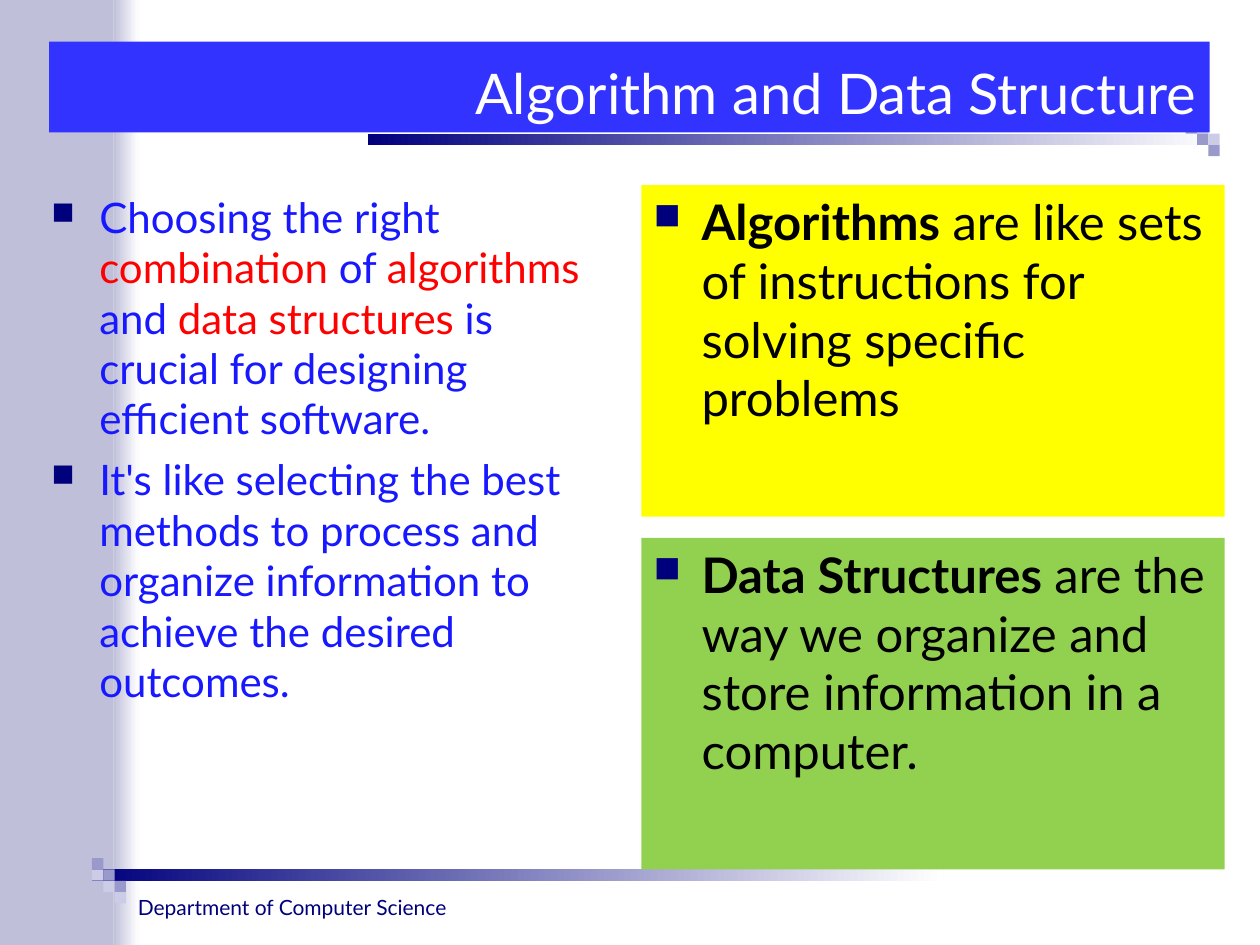
from typing import NamedTuple

from lxml.etree import SubElement
from pptx import Presentation
from pptx.dml.color import RGBColor
from pptx.enum.shapes import MSO_SHAPE
from pptx.enum.text import MSO_ANCHOR, MSO_AUTO_SIZE, PP_ALIGN
from pptx.oxml.ns import qn
from pptx.util import Inches, Pt

COLORS = {
    "navy": "00007D", "white": "FFFFFF", "side": "BFBFDA", "medium": "9999CC",
    "light": "CCCCE6", "banner": "3333FF", "blue": "1818FF", "red": "FF0000",
    "black": "000000", "yellow": "FFFF00", "green": "92D050",
}
FONT = "Lato"
TILE = 0.09
INDENT = 0.38
PANEL_TOP, PANEL_HEIGHT, PANEL_PITCH = 1.47, 2.63, 2.8


class Box(NamedTuple):
    left: float
    top: float
    width: float
    height: float

    def emu(self) -> list:
        return [Inches(length) for length in self]


class Run(NamedTuple):
    text: str
    color: str
    bold: bool = False


class Tile(NamedTuple):
    column: int
    row: int
    color: str


class Corner(NamedTuple):
    left: float
    top: float
    bar_left: float
    tiles: list


class Panel(NamedTuple):
    color: str
    term: str
    meaning: str


CORNERS = [
    Corner(0.73, 6.81, 0.73, [
        Tile(1, 2, "light"), Tile(1, 1, "medium"), Tile(2, 2, "medium"),
        Tile(0, 0, "medium"), Tile(2, 3, "light"), Tile(0, 1, "light")]),
    Corner(9.41, 0.97, 2.92, [
        Tile(1, 0, "light"), Tile(1, 1, "medium"), Tile(0, 0, "medium"),
        Tile(2, 2, "medium"), Tile(2, 1, "light")]),
]

ADVICE = [
    [Run("Choosing the right ", "blue"), Run("combination", "red"), Run(" of ", "blue"),
     Run("algorithms", "red"), Run(" and ", "blue"), Run("data structures ", "red"),
     Run("is crucial for designing efficient software.", "blue")],
    [Run("It's like selecting the best methods to process and organize information "
         "to achieve the desired outcomes.", "blue")],
]

PANELS = [
    Panel("yellow", "Algorithms",
          " are like sets of instructions for solving specific problems"),
    Panel("green", "Data Structures",
          " are the way we organize and store information in a computer."),
]


def rgb(name: str) -> RGBColor:
    return RGBColor.from_string(COLORS[name])


def add_block(slide, box: Box, color: str, fade_to: str = ""):
    block = slide.shapes.add_shape(MSO_SHAPE.RECTANGLE, *box.emu())
    block.shadow.inherit = False
    block.line.fill.background()
    if fade_to:
        block.fill.gradient()
        block.fill.gradient_angle = 0
        for stop, name in zip(block.fill.gradient_stops, (color, fade_to)):
            stop.color.rgb = rgb(name)
    else:
        block.fill.solid()
        block.fill.fore_color.rgb = rgb(color)
    return block


def add_bullet(paragraph) -> None:
    properties = paragraph._p.get_or_add_pPr()
    properties.set("marL", str(Inches(INDENT)))
    properties.set("indent", str(-Inches(INDENT)))
    bullet_color = SubElement(properties, qn("a:buClr"))
    SubElement(bullet_color, qn("a:srgbClr"), val=COLORS["navy"])
    SubElement(properties, qn("a:buSzPct"), val="75000")
    SubElement(properties, qn("a:buChar"), char="■")


def write(holder, paragraphs: list, *, size: int, align=PP_ALIGN.LEFT,
          anchor=MSO_ANCHOR.TOP, bullets: bool = False, wrap: bool = True,
          gap: int = 0) -> None:
    frame = holder.text_frame
    frame.auto_size = MSO_AUTO_SIZE.NONE
    frame.word_wrap = wrap
    frame.vertical_anchor = anchor
    for index, runs in enumerate(paragraphs):
        paragraph = frame.add_paragraph() if index else frame.paragraphs[0]
        paragraph.alignment = align
        paragraph.space_before = Pt(gap if index else 0)
        if bullets:
            add_bullet(paragraph)
        for piece in runs:
            run = paragraph.add_run()
            run.text = piece.text
            run.font.name = FONT
            run.font.size = Pt(size)
            run.font.bold = piece.bold
            run.font.color.rgb = rgb(piece.color)


def add_corner(slide, corner: Corner) -> None:
    add_block(slide, Box(corner.bar_left, corner.top + TILE, 6.76, TILE), "navy", "white")
    for tile in corner.tiles:
        add_block(slide, Box(corner.left + tile.column * TILE,
                             corner.top + tile.row * TILE, TILE, TILE), tile.color)


def add_panel(slide, row: int, panel: Panel) -> None:
    box = Box(5.09, PANEL_TOP + row * PANEL_PITCH, 4.63, PANEL_HEIGHT)
    write(add_block(slide, box, panel.color),
          [[Run(panel.term, "black", True), Run(panel.meaning, "black")]],
          size=28, bullets=True)


def main() -> None:
    deck = Presentation()
    deck.slide_width, deck.slide_height = Inches(10), Inches(7.5)
    slide = deck.slides.add_slide(deck.slide_layouts[5])

    add_block(slide, Box(0.9, 0, 0.2, 7.5), "side", "white")
    add_block(slide, Box(0, 0, 0.9, 7.5), "side")
    for corner in CORNERS:
        add_corner(slide, corner)

    department = slide.shapes.add_textbox(*Box(0.91, 7.05, 2.82, 0.3).emu())
    write(department, [[Run("Department of Computer Science", "navy")]],
          size=12, align=PP_ALIGN.CENTER, wrap=False)

    title = slide.shapes.title
    title.left, title.top, title.width, title.height = Box(0.39, 0.33, 9.21, 0.72).emu()
    title.fill.solid()
    title.fill.fore_color.rgb = rgb("banner")
    write(title, [[Run("Algorithm and Data Structure", "white")]],
          size=32, align=PP_ALIGN.RIGHT, anchor=MSO_ANCHOR.BOTTOM)
    title.element.getparent().append(title.element)

    advice = slide.shapes.add_textbox(
        *Box(0.31, PANEL_TOP, 4.62, PANEL_PITCH + PANEL_HEIGHT).emu())
    write(advice, ADVICE, size=24, bullets=True, gap=6)
    for row, panel in enumerate(PANELS):
        add_panel(slide, row, panel)

    deck.save("out.pptx")


if __name__ == "__main__":
    main()
